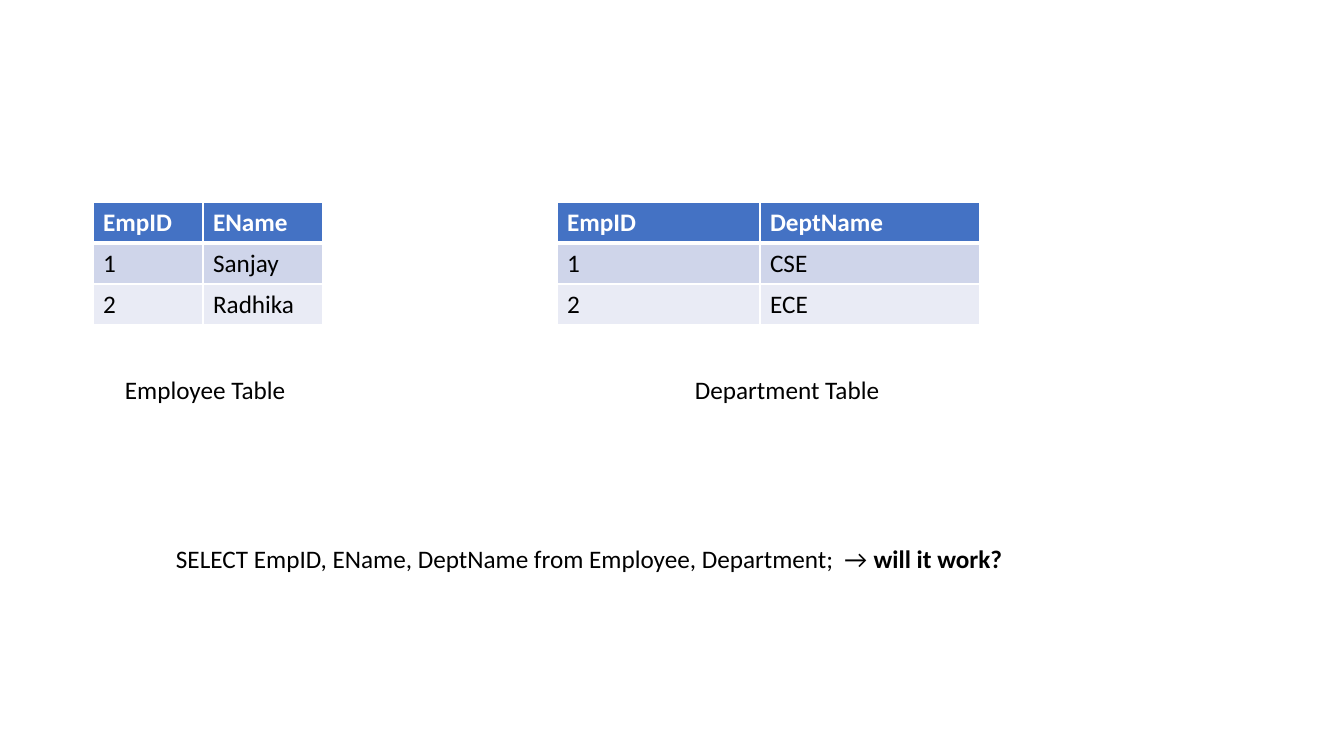
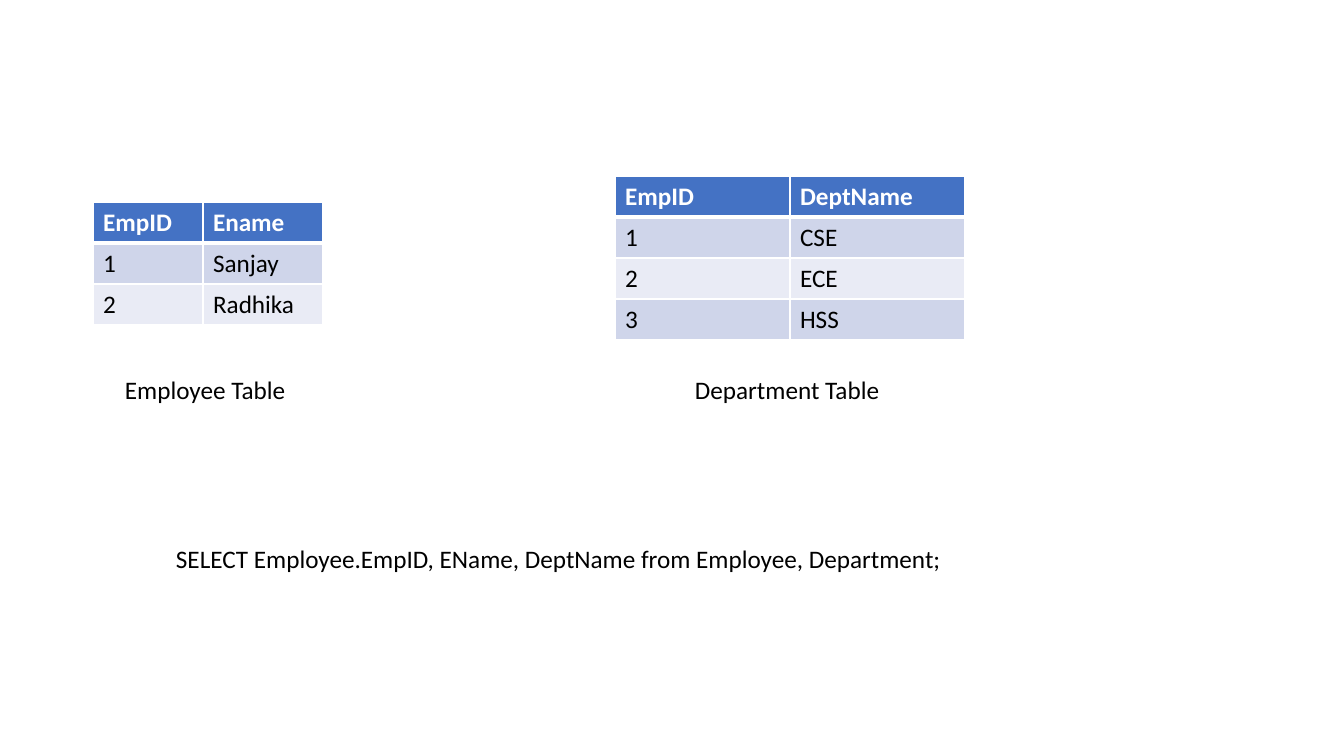
from dataclasses import dataclass

from lxml import etree
from pptx import Presentation
from pptx.dml.color import RGBColor
from pptx.enum.text import MSO_AUTO_SIZE
from pptx.oxml.ns import qn
from pptx.util import Emu, Pt

GROW = MSO_AUTO_SIZE.SHAPE_TO_FIT_TEXT
SLIDE_W, SLIDE_H = 1344, 756
SCALE = 12192000 / SLIDE_W
ROW_H = 41
TEXT_H = 40
BLANK = 6


@dataclass(frozen=True)
class Theme:
    font: str = "Calibri"
    size: int = 18
    text: str = "000000"
    header_text: str = "FFFFFF"
    header: str = "4472C4"
    bands: tuple[str, str] = ("CFD5EA", "E9EBF5")
    border: str = "FFFFFF"
    thin: int = 1
    thick: int = 3


@dataclass(frozen=True)
class Grid:
    x: int
    y: int
    cols: tuple[int, ...]
    rows: tuple[tuple[str, ...], ...]


@dataclass(frozen=True)
class Label:
    x: int
    y: int
    w: int
    text: str
    bold_tail: str = ""


@dataclass(frozen=True)
class Page:
    grids: tuple[Grid, ...]
    query: Label


THEME = Theme()


def px(n: int) -> Emu:
    return Emu(round(n * SCALE))


# Text
def add_run(p, text: str, *, color: str = THEME.text, bold: bool = False) -> None:
    r = p.add_run()
    r.text = text
    r.font.name = THEME.font
    r.font.size = Pt(THEME.size)
    r.font.bold = bold
    r.font.color.rgb = RGBColor.from_string(color)


def draw_label(s, label: Label) -> None:
    tf = s.shapes.add_textbox(px(label.x), px(label.y), px(label.w), px(TEXT_H)).text_frame
    tf.word_wrap = True
    tf.auto_size = GROW
    p = tf.paragraphs[0]
    add_run(p, label.text)
    if label.bold_tail:
        add_run(p, label.bold_tail, bold=True)


# Tables
def set_borders(cell, top: int, bottom: int) -> None:
    tc_pr = cell._tc.get_or_add_tcPr()
    widths = {"L": THEME.thin, "R": THEME.thin, "T": top, "B": bottom}
    for side, width in widths.items():
        ln = etree.SubElement(tc_pr, qn(f"a:ln{side}"), w=str(Pt(width)))
        fill = etree.SubElement(ln, qn("a:solidFill"))
        etree.SubElement(fill, qn("a:srgbClr"), val=THEME.border)


def draw_grid(s, grid: Grid) -> None:
    n_rows = len(grid.rows)
    table = s.shapes.add_table(n_rows, len(grid.cols), px(grid.x), px(grid.y),
                               px(sum(grid.cols)), px(n_rows * ROW_H)).table
    for column, width in zip(table.columns, grid.cols):
        column.width = px(width)
    for i, row in enumerate(grid.rows):
        is_header = i == 0
        fill = THEME.header if is_header else THEME.bands[(i - 1) % 2]
        for j, text in enumerate(row):
            cell = table.cell(i, j)
            set_borders(cell, top=THEME.thick if i == 1 else THEME.thin,
                        bottom=THEME.thick if is_header else THEME.thin)
            cell.fill.solid()
            cell.fill.fore_color.rgb = RGBColor.from_string(fill)
            add_run(cell.text_frame.paragraphs[0], text, bold=is_header,
                    color=THEME.header_text if is_header else THEME.text)


# Content
def employee(name_header: str) -> Grid:
    return Grid(93, 202, (110, 120),
                (("EmpID", name_header), ("1", "Sanjay"), ("2", "Radhika")))


def query(text: str, bold_tail: str = "") -> Label:
    return Label(166, 538, 974, text, bold_tail)


DEPARTMENTS = (("EmpID", "DeptName"), ("1", "CSE"), ("2", "ECE"))
CAPTIONS = (Label(115, 369, 208, "Employee Table"),
            Label(685, 369, 208, "Department Table"))
PAGES = (
    Page((employee("EName"), Grid(557, 202, (203, 220), DEPARTMENTS)),
         query("SELECT EmpID, EName, DeptName from Employee, Department;  → ",
               "will it work?")),
    Page((employee("Ename"), Grid(615, 176, (175, 175), DEPARTMENTS + (("3", "HSS"),))),
         query("SELECT Employee.EmpID, EName, DeptName from Employee, Department;")),
)

# Slides
prs = Presentation()
prs.slide_width, prs.slide_height = px(SLIDE_W), px(SLIDE_H)
for page in PAGES:
    s = prs.slides.add_slide(prs.slide_layouts[BLANK])
    for grid in page.grids:
        draw_grid(s, grid)
    for label in (*CAPTIONS, page.query):
        draw_label(s, label)
prs.save("out.pptx")
